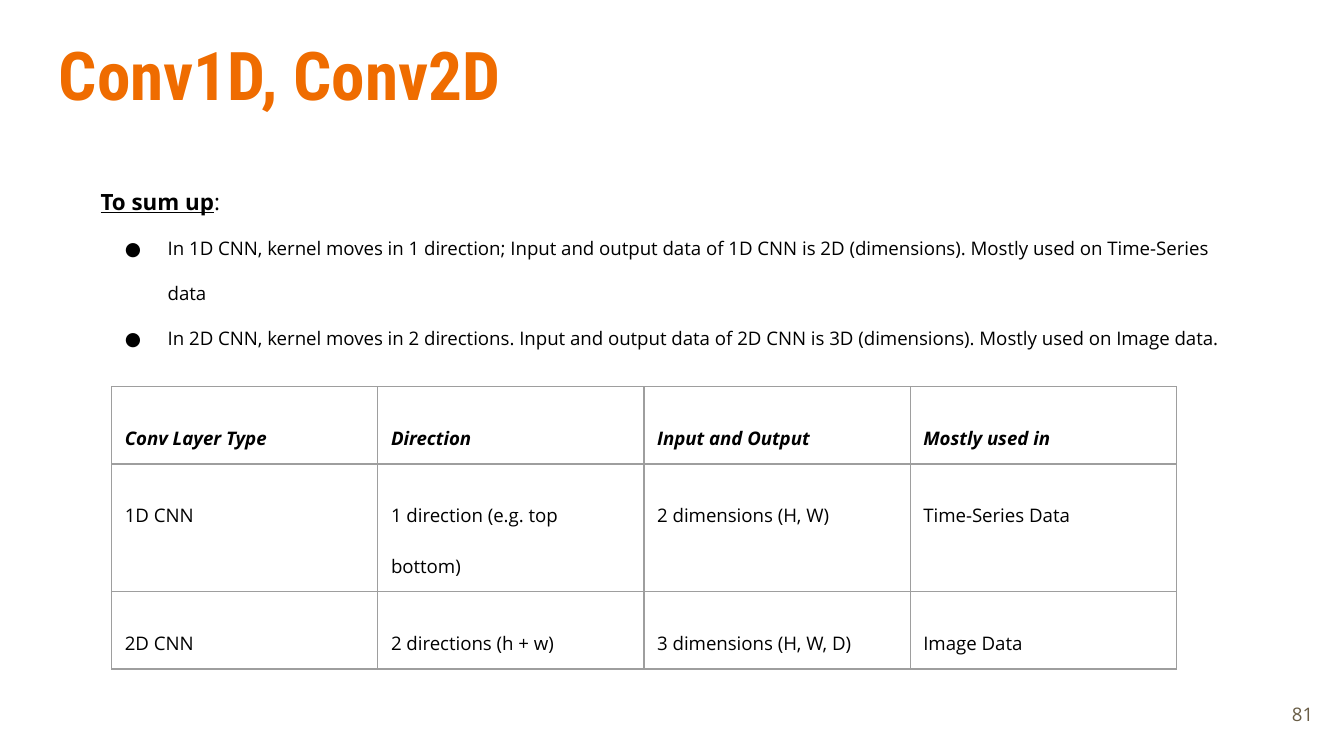
from lxml.etree import SubElement
from pptx import Presentation
from pptx.dml.color import RGBColor
from pptx.enum.text import MSO_ANCHOR, MSO_AUTO_SIZE, PP_ALIGN
from pptx.oxml.ns import qn
from pptx.util import Cm, Pt

ORANGE = RGBColor(0xEF, 0x6C, 0x00)
BROWN = RGBColor(0x69, 0x5D, 0x46)
BLACK = RGBColor(0x00, 0x00, 0x00)
GREY = RGBColor(0x9E, 0x9E, 0x9E)

TITLE = {"name": "Roboto Condensed", "size": Pt(36), "bold": True}
TEXT = {"name": "Open Sans", "size": Pt(10), "bold": False}
HEADING = {**TEXT, "size": Pt(12), "bold": True, "underline": True}
COLON = {**TEXT, "size": Pt(12)}
TABLE_HEAD = {**TEXT, "bold": True, "italic": True}

BULLETS = [
    "In 1D CNN, kernel moves in 1 direction; Input and output data of 1D CNN is 2D "
    "(dimensions). Mostly used on Time-Series data",
    "In 2D CNN, kernel moves in 2 directions. Input and output data of 2D CNN is 3D "
    "(dimensions). Mostly used on Image data.",
]
LAYER_ROWS = [
    ["Conv Layer Type", "Direction", "Input and Output", "Mostly used in"],
    ["1D CNN", "1 direction (e.g. top bottom)", "2 dimensions (H, W)", "Time-Series Data"],
    ["2D CNN", "2 directions (h + w)", "3 dimensions (H, W, D)", "Image Data"],
]


class SlideBuilder:
    inset = Cm(0.25)

    def __init__(self, slide):
        self.slide = slide

    def place(self, shape, left, top, width, height):
        box = {"left": left, "top": top, "width": width, "height": height}
        for name, value in box.items():
            setattr(shape, name, Cm(value))

    def frame(self, text_frame, anchor=MSO_ANCHOR.TOP):
        values = {"word_wrap": True, "vertical_anchor": anchor,
                  "auto_size": MSO_AUTO_SIZE.NONE}
        for side in ("left", "top", "right", "bottom"):
            values[f"margin_{side}"] = self.inset
        for name, value in values.items():
            setattr(text_frame, name, value)

    def add_text(self, paragraph, text, style, color=BLACK):
        run = paragraph.add_run()
        run.text = text
        for name, value in style.items():
            setattr(run.font, name, value)
        run.font.color.rgb = color

    def space(self, paragraph, line_spacing):
        values = {"line_spacing": line_spacing, "space_before": Pt(0), "space_after": Pt(0)}
        for name, value in values.items():
            setattr(paragraph, name, value)

    def title(self, text, *box):
        shape = self.slide.shapes.title
        self.place(shape, *box)
        self.frame(shape.text_frame)
        paragraph = shape.text_frame.paragraphs[0]
        paragraph.alignment = PP_ALIGN.LEFT
        self.add_text(paragraph, text, TITLE, ORANGE)

    def bullet(self, paragraph, symbol=None):
        properties = paragraph._p.get_or_add_pPr()
        properties.set("marL", str(Cm(1.27) if symbol else 0))
        properties.set("indent", str(-Cm(0.81) if symbol else 0))
        if symbol is None:
            SubElement(properties, qn("a:buNone"))
            return
        color = SubElement(properties, qn("a:buClr"))
        SubElement(color, qn("a:srgbClr"), val=str(BLACK))
        SubElement(properties, qn("a:buFont"), typeface=TEXT["name"])
        SubElement(properties, qn("a:buChar"), char=symbol)

    def summary(self, heading, bullets, *box):
        shape = self.slide.placeholders[1]
        self.place(shape, *box)
        text_frame = shape.text_frame
        self.frame(text_frame)
        paragraph = text_frame.paragraphs[0]
        self.bullet(paragraph)
        self.space(paragraph, 2.0)
        self.add_text(paragraph, heading, HEADING)
        self.add_text(paragraph, ":", COLON)
        for text in bullets:
            paragraph = text_frame.add_paragraph()
            self.bullet(paragraph, "●")
            self.space(paragraph, 2.0)
            self.add_text(paragraph, text, TEXT)

    def cell(self, cell, text, style):
        for side in ("left", "top", "right", "bottom"):
            setattr(cell, f"margin_{side}", self.inset)
        paragraph = cell.text_frame.paragraphs[0]
        self.space(paragraph, 2.0)
        self.add_text(paragraph, text, style)
        properties = cell._tc.get_or_add_tcPr()
        for edge in ("a:lnL", "a:lnR", "a:lnT", "a:lnB"):
            line = SubElement(properties, qn(edge), w=str(Pt(0.75)))
            fill = SubElement(line, qn("a:solidFill"))
            SubElement(fill, qn("a:srgbClr"), val=str(GREY))
        cell.fill.background()

    def table(self, rows, left, top, column_width, row_height):
        columns = len(rows[0])
        table = self.slide.shapes.add_table(
            len(rows), columns, Cm(left), Cm(top),
            Cm(column_width * columns), Cm(row_height * len(rows))).table
        table.first_row = True
        table.horz_banding = False
        for row_index, row in enumerate(rows):
            for column_index, text in enumerate(row):
                style = TEXT if row_index else TABLE_HEAD
                self.cell(table.cell(row_index, column_index), text, style)

    def page_number(self, text, *box):
        shape = self.slide.shapes.add_textbox(*(Cm(value) for value in box))
        self.frame(shape.text_frame, MSO_ANCHOR.MIDDLE)
        paragraph = shape.text_frame.paragraphs[0]
        paragraph.alignment = PP_ALIGN.RIGHT
        self.add_text(paragraph, text, TEXT, BROWN)


def main():
    presentation = Presentation()
    presentation.slide_width = Cm(25.4)
    presentation.slide_height = Cm(14.29)
    builder = SlideBuilder(presentation.slides.add_slide(presentation.slide_layouts[1]))
    builder.title("Conv1D, Conv2D", 0.86, 0.38, 10.11, 2.41)
    builder.page_number("81", 23.55, 12.95, 1.52, 1.09)
    builder.summary("To sum up", BULLETS, 1.65, 2.79, 21.95, 3.68)
    builder.table(LAYER_ROWS, 2.11, 7.31, 5.03, 1.07)
    presentation.save("out.pptx")


if __name__ == "__main__":
    main()
